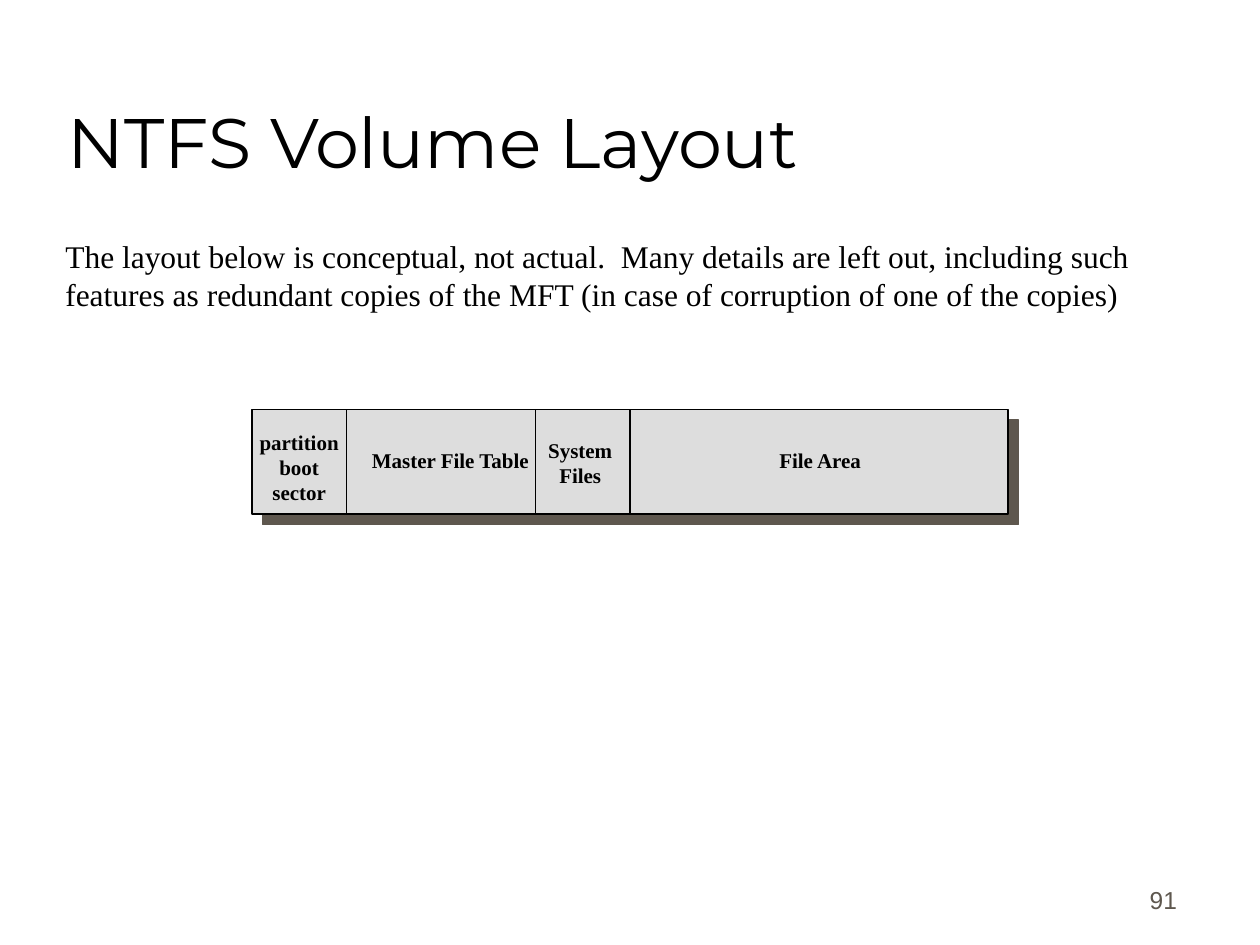
from lxml import etree
from pptx import Presentation
from pptx import util as u
from pptx.dml.color import RGBColor
from pptx.enum import shapes, text
from pptx.oxml import ns

ALIGN = text.PP_ALIGN
ANCHOR = text.MSO_ANCHOR


def rgb(value):
    return RGBColor.from_string(value)


class Deck:
    """Holds the style and the current slide."""

    INK, MUTED, PANEL = "000000", "5E574E", "DDDDDD"
    TITLE, SERIF, SANS = "Montserrat", "Times New Roman", "Arial"

    def __init__(self, width, height):
        self.prs = Presentation()
        self.prs.slide_width = u.Inches(width)
        self.prs.slide_height = u.Inches(height)
        self.s = self.prs.slides.add_slide(self.prs.slide_layouts[6])

    def text(self, box, content, size, font, color=INK, bold=False,
             align=ALIGN.LEFT, anchor=ANCHOR.TOP, wrap=True):
        sp = self.s.shapes.add_textbox(*map(u.Inches, box))
        tf = sp.text_frame
        tf.word_wrap = wrap
        tf.vertical_anchor = anchor
        tf.text = content
        for p in tf.paragraphs:
            p.alignment = align
            for r in p.runs:
                r.font.size = u.Pt(size)
                r.font.name = font
                r.font.bold = bold
                r.font.color.rgb = rgb(color)

    def label(self, box, content):
        self.text(box, content, 12, self.SERIF, bold=True,
                  align=ALIGN.CENTER, wrap=False)

    def panel(self, box):
        sp = self.s.shapes.add_shape(shapes.MSO_SHAPE.RECTANGLE,
                                     *map(u.Inches, box))
        sp.fill.solid()
        sp.fill.fore_color.rgb = rgb(self.PANEL)
        sp.line.color.rgb = rgb(self.INK)
        sp.line.width = u.Pt(1)
        # Hard shadow towards the lower right
        sp.shadow.inherit = False
        effects = sp.element.spPr.find(ns.qn("a:effectLst"))
        shadow = etree.SubElement(effects, ns.qn("a:outerShdw"),
                                  dist=str(u.Pt(8.5)), dir=str(45 * 60000),
                                  algn="ctr", rotWithShape="0")
        etree.SubElement(shadow, ns.qn("a:srgbClr"), val=self.MUTED)

    def divider(self, x, top, bottom):
        ends = map(u.Inches, (x, top, x, bottom))
        line = self.s.shapes.add_connector(shapes.MSO_CONNECTOR.STRAIGHT, *ends)
        line.line.color.rgb = rgb(self.INK)
        line.line.width = u.Pt(1)
        etree.SubElement(line.element.spPr, ns.qn("a:effectLst"))


def main():
    deck = Deck(10, 7.5)

    # Title
    deck.text((0.44, 0.25, 8.5, 1.25), "NTFS Volume Layout", 40, deck.TITLE,
              anchor=ANCHOR.BOTTOM)

    # Volume bar and its divisions
    left, top, width, height = 2, 3.25, 6, 0.83
    deck.panel((left, top, width, height))
    for offset in (0.75, 2.25, 3):
        deck.divider(left + offset, top, top + height)

    # Region names
    for box, name in (
        ((6.08, 3.5, 0.86, 0.3), "File Area"),
        ((4.25, 3.42, 0.71, 0.5), "System\nFiles"),
        ((2.84, 3.5, 1.47, 0.3), "Master File Table"),
        ((1.96, 3.36, 0.83, 0.7), "partition\nboot\nsector"),
    ):
        deck.label(box, name)

    # Explanation
    deck.text((0.42, 1.83, 9.08, 0.7),
              "The layout below is conceptual, not actual.  Many details are "
              "left out, including such features as redundant copies of the "
              "MFT (in case of corruption of one of the copies)",
              18, deck.SERIF)

    # Slide number
    deck.text((7.36, 6.81, 2.08, 0.5), "91", 14, deck.SANS, deck.MUTED,
              align=ALIGN.RIGHT, anchor=ANCHOR.BOTTOM)

    deck.prs.save("out.pptx")


if __name__ == "__main__":
    main()
